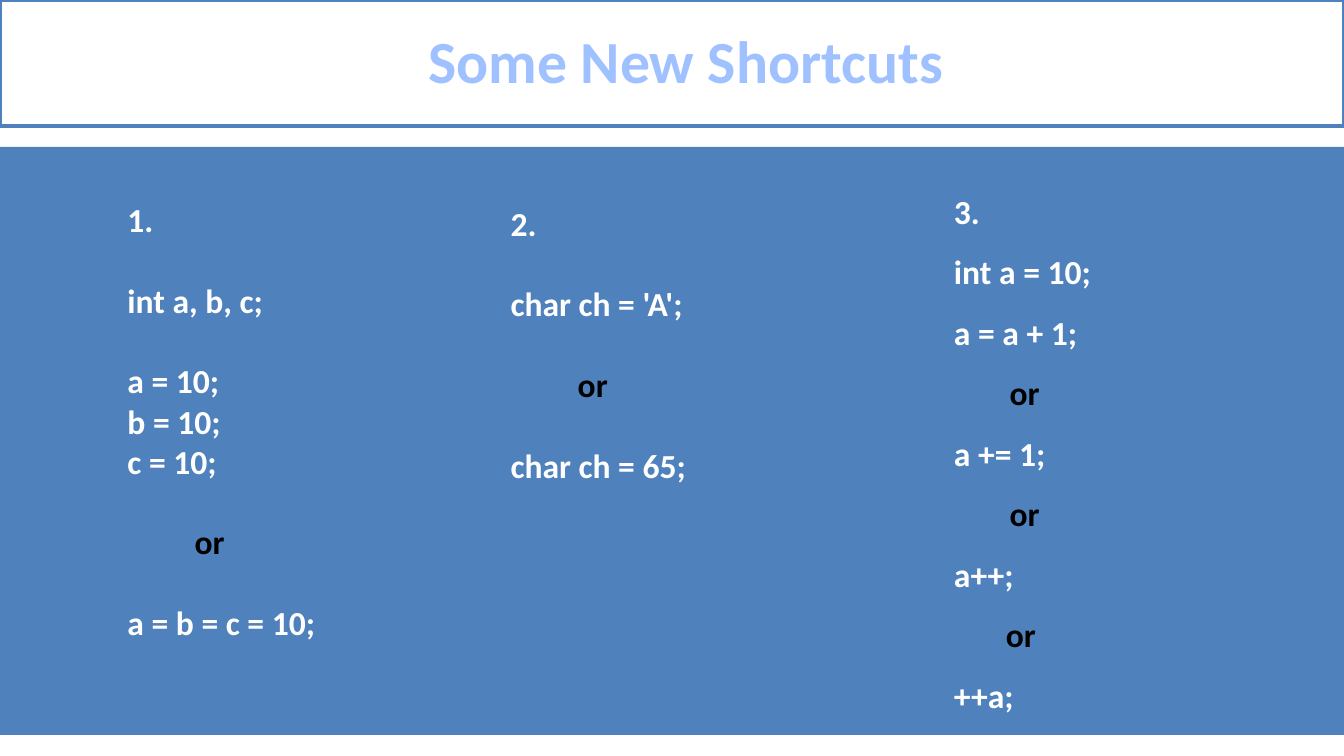
from pptx import Presentation
from pptx.dml.color import RGBColor
from pptx.enum.shapes import MSO_SHAPE
from pptx.enum.text import MSO_ANCHOR, MSO_AUTO_SIZE, PP_ALIGN
from pptx.oxml.ns import qn
from pptx.util import Pt
from lxml.etree import SubElement

COLORS = {"panel": "4F81BD", "white": "FFFFFF", "title": "A0C1FF", "or": "000000"}
LINE = 21.6  # height of one line of code
CODE_FONT = {"name": "Calibri", "size": Pt(18), "bold": True}
TITLE_FONT = {"name": "Calibri", "size": Pt(32), "bold": True}


def rgb(name):
    return RGBColor.from_string(COLORS[name])


def set_font(font, values, color):
    for key, value in values.items():
        setattr(font, key, value)
    font.color.rgb = rgb(color)


def add_rect(slide, box, fill, line=None):
    sp = slide.shapes.add_shape(MSO_SHAPE.RECTANGLE, *map(Pt, box))
    sp.shadow.inherit = False
    sp.fill.solid()
    sp.fill.fore_color.rgb = rgb(fill)
    if line:
        sp.line.color.rgb = rgb(line)
        sp.line.width = Pt(2)
    else:
        sp.line.fill.background()
    return sp


def add_title(slide, box, text):
    tf = add_rect(slide, box, "white", "panel").text_frame
    tf.word_wrap = True
    tf.vertical_anchor = MSO_ANCHOR.MIDDLE
    p = tf.paragraphs[0]
    p.alignment = PP_ALIGN.CENTER
    p.line_spacing = 0.96
    p._p.get_or_add_pPr().set("marL", str(Pt(15)))
    r = p.add_run()
    r.text = text
    set_font(r.font, TITLE_FONT, "title")


def add_example(slide, box, number, lines, indent, hang,
                spacing=None, columns=1, center_or=False):
    """Numbered example; each line is (text, blank lines before it)."""
    tf = slide.shapes.add_textbox(*map(Pt, box)).text_frame
    tf.word_wrap = True
    tf.auto_size = MSO_AUTO_SIZE.SHAPE_TO_FIT_TEXT
    if columns > 1:
        tf._txBody.bodyPr.set("numCol", str(columns))

    # Number line
    p = tf.paragraphs[0]
    pPr = p._p.get_or_add_pPr()
    pPr.set("marL", str(Pt(indent + hang)))
    pPr.set("indent", str(Pt(-hang)))
    SubElement(pPr, qn("a:buAutoNum"), type="arabicPeriod", startAt=str(number))
    r = p.add_run()
    r.text = " "
    set_font(r.font, CODE_FONT, "white")

    # Code lines, with each "or" indented or centred
    for text, gap in lines:
        is_or = text.strip() == "or"
        p = tf.add_paragraph()
        shift = 36 if is_or and not center_or else 0
        p._p.get_or_add_pPr().set("marL", str(Pt(indent + shift)))
        if is_or and center_or:
            p.alignment = PP_ALIGN.CENTER
        if spacing:
            p.line_spacing = spacing
        if gap:
            p.space_before = Pt(gap * LINE)
        r = p.add_run()
        r.text = text
        set_font(r.font, CODE_FONT, "or" if is_or else "white")


def main():
    prs = Presentation()
    prs.slide_width, prs.slide_height = Pt(720), Pt(405)
    slide = prs.slides.add_slide(prs.slide_layouts[6])

    # Panel and title bar
    add_rect(slide, (0, 78.75, 720, 315), "panel")
    add_title(slide, (0, 0, 720, 67.5), "Some New Shortcuts")

    # Three examples
    add_example(slide, (25.2, 103, 176.4, 247), 1,
                [("int a, b, c;", 1), ("a = 10;", 1), ("b = 10;", 0),
                 ("c = 10;", 0), ("or", 1), ("a = b = c = 10;", 1)],
                indent=36, hang=32)
    add_example(slide, (266.4, 105.1, 212.4, 160), 2,
                [("char ch = 'A';", 1), ("or", 1), ("char ch = 65;", 1)],
                indent=0, hang=27)
    add_example(slide, (468, 98.6, 237.6, 291), 3,
                [(text, 0) for text in ("int a = 10;", "a = a + 1;", "or", "a += 1;",
                                        "or", "a++;", "or ", "++a;")],
                indent=36, hang=27, spacing=1.5, columns=2, center_or=True)

    prs.save("out.pptx")


if __name__ == "__main__":
    main()
